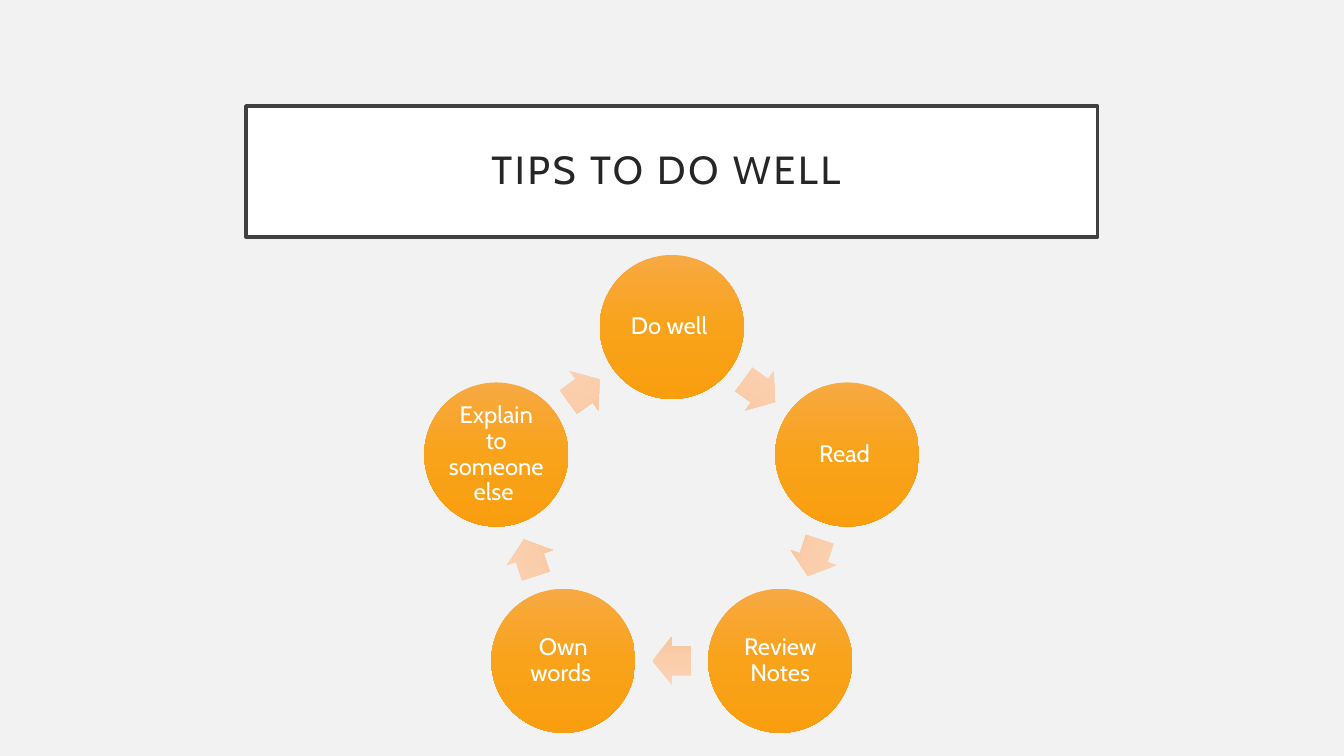
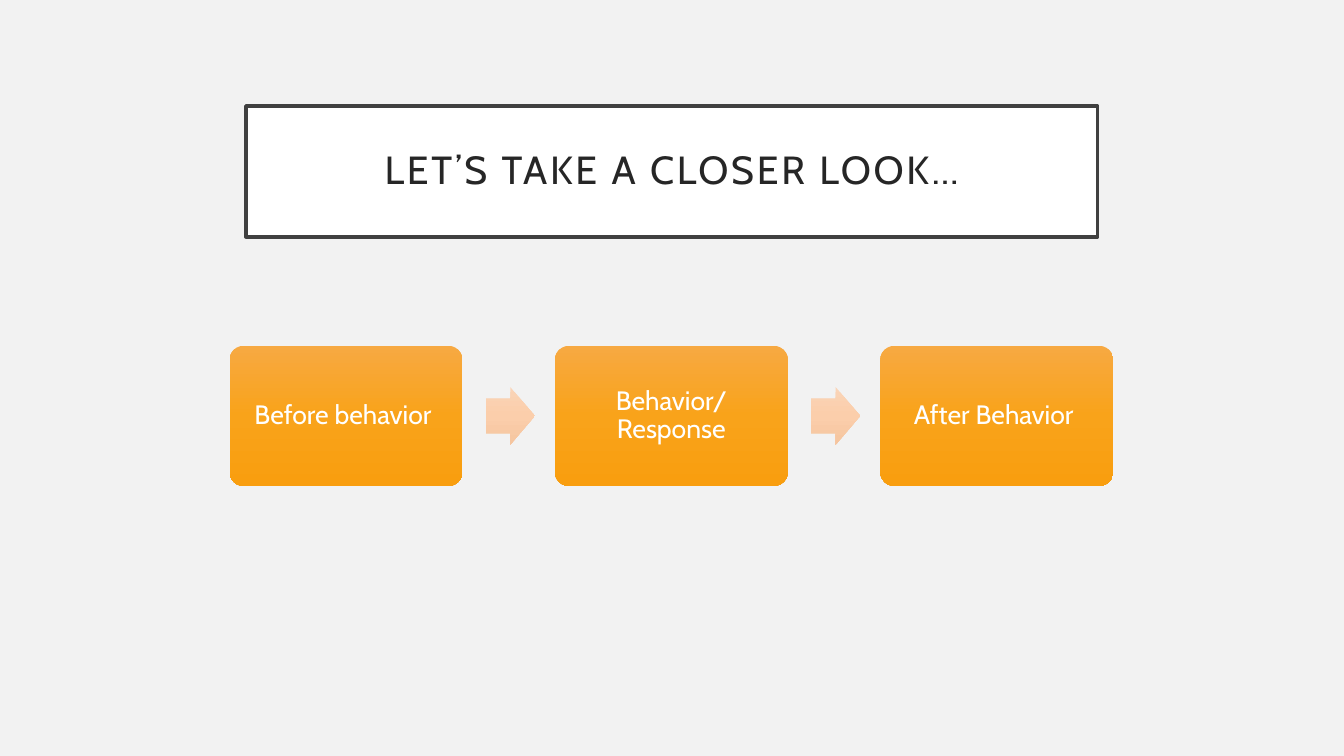
"""Build two slides: a cycle of study tips and a three-step behavior process."""
import copy
import math

import pptx
import pptx.dml.color
import pptx.enum.shapes
import pptx.enum.text
import pptx.oxml.ns
import pptx.util

Cm = pptx.util.Cm
Pt = pptx.util.Pt
RGBColor = pptx.dml.color.RGBColor
SHAPE = pptx.enum.shapes.MSO_SHAPE

CYCLE_TITLE = "TIPS TO DO WELL "
CYCLE_TIPS = ["Do well ", "Read ", "Review Notes", "Own words ", "Explain to someone else "]
PROCESS_TITLE = "LET’S TAKE A CLOSER LOOK…"
PROCESS_STEPS = ["Before behavior ", "Behavior/Response", "After Behavior "]

FONT = "Cabin"
PAGE_GRAY = RGBColor(0xF2, 0xF2, 0xF2)
FRAME_GRAY = RGBColor(0x40, 0x40, 0x40)
TITLE_GRAY = RGBColor(0x26, 0x26, 0x26)
WHITE = RGBColor(0xFF, 0xFF, 0xFF)
ORANGES = [RGBColor(0xF7, 0xA9, 0x42), RGBColor(0xF9, 0xA3, 0x1A), RGBColor(0xF9, 0x9E, 0x0F)]
PEACHES = [RGBColor(0xFA, 0xD4, 0xB7), RGBColor(0xFB, 0xCE, 0xAB), RGBColor(0xF5, 0xC5, 0x9F)]

CYCLE_CENTER = (16.93, 12.89)
CYCLE_RADIUS = 4.65
CIRCLE_SIZE = (3.63, 3.63)
CYCLE_ARROW_SIZE = (0.97, 1.22)

FIRST_STEP_CENTER = (8.72, 10.48)
STEP_PITCH = 8.2
STEP_SIZE = (5.87, 3.53)
STEP_ARROW_OFFSET = 4.14
STEP_ARROW_SIZE = (1.24, 1.45)


def format_text(frame, text, size, color, inset):
    frame.text = text
    frame.word_wrap = True
    frame.auto_size = pptx.enum.text.MSO_AUTO_SIZE.NONE
    frame.vertical_anchor = pptx.enum.text.MSO_ANCHOR.MIDDLE
    frame.margin_left = frame.margin_right = Cm(inset)
    frame.margin_top = frame.margin_bottom = Cm(inset)
    para = frame.paragraphs[0]
    para.alignment = pptx.enum.text.PP_ALIGN.CENTER
    para.line_spacing = 0.9
    para.font.name = FONT
    para.font.size = Pt(size)
    para.font.color.rgb = color


def add_page(deck, text):
    page = deck.slides.add_slide(deck.slide_layouts[5])
    title = page.shapes.title
    title.left, title.top, title.width, title.height = Cm(6.2), Cm(2.67), Cm(21.46), Cm(3.3)
    title.fill.solid()
    title.fill.fore_color.rgb = WHITE
    title.line.color.rgb = FRAME_GRAY
    title.line.width = Pt(2.5)
    format_text(title.text_frame, text, 28, TITLE_GRAY, 0.5)
    title.text_frame.paragraphs[0].runs[0].font._element.set("spc", "200")
    return page


def add_gradient_shape(page, kind, center, size, colors):
    left, top = (middle - length / 2 for middle, length in zip(center, size))
    shape = page.shapes.add_shape(kind, Cm(left), Cm(top), Cm(size[0]), Cm(size[1]))
    shape.shadow.inherit = False
    shape.line.fill.background()
    shape.fill.gradient()
    shape.fill.gradient_angle = 270
    stop_list = shape._element.find(".//" + pptx.oxml.ns.qn("a:gsLst"))
    stop_list.insert(1, copy.deepcopy(stop_list[0]))
    for stop, position, color in zip(shape.fill.gradient_stops, (0, 0.5, 1), colors):
        stop.position = position
        stop.color.rgb = color
    return shape


def add_arrow(page, center, size, rotation=0):
    arrow = add_gradient_shape(page, SHAPE.RIGHT_ARROW, center, size, PEACHES)
    arrow.adjustments[0] = 0.6
    arrow.adjustments[1] = 0.5
    arrow.rotation = rotation


def add_cycle(page):
    turn = 360 / len(CYCLE_TIPS)
    arrow_radius = CYCLE_RADIUS * math.cos(math.radians(turn / 2))

    def point(radius, degrees):
        angle = math.radians(degrees)
        return (CYCLE_CENTER[0] + radius * math.sin(angle),
                CYCLE_CENTER[1] - radius * math.cos(angle))

    for index, tip in enumerate(CYCLE_TIPS):
        degrees = index * turn
        circle = add_gradient_shape(
            page, SHAPE.OVAL, point(CYCLE_RADIUS, degrees), CIRCLE_SIZE, ORANGES)
        format_text(circle.text_frame, tip, 17, WHITE, 0.05)
        heading = degrees + turn / 2
        add_arrow(page, point(arrow_radius, heading), CYCLE_ARROW_SIZE, heading)


def add_process(page):
    middle = FIRST_STEP_CENTER[1]
    for index, step in enumerate(PROCESS_STEPS):
        center = FIRST_STEP_CENTER[0] + index * STEP_PITCH
        if index:
            arrow_center = center - STEP_PITCH + STEP_ARROW_OFFSET
            add_arrow(page, (arrow_center, middle), STEP_ARROW_SIZE)
        box = add_gradient_shape(
            page, SHAPE.ROUNDED_RECTANGLE, (center, middle), STEP_SIZE, ORANGES)
        box.adjustments[0] = 0.1
        format_text(box.text_frame, step, 19, WHITE, 0.2)


def main():
    deck = pptx.Presentation()
    deck.slide_width, deck.slide_height = Cm(33.87), Cm(19.05)
    background = deck.slide_master.background.fill
    background.solid()
    background.fore_color.rgb = PAGE_GRAY
    add_cycle(add_page(deck, CYCLE_TITLE))
    add_process(add_page(deck, PROCESS_TITLE))
    deck.save("out.pptx")


if __name__ == "__main__":
    main()
